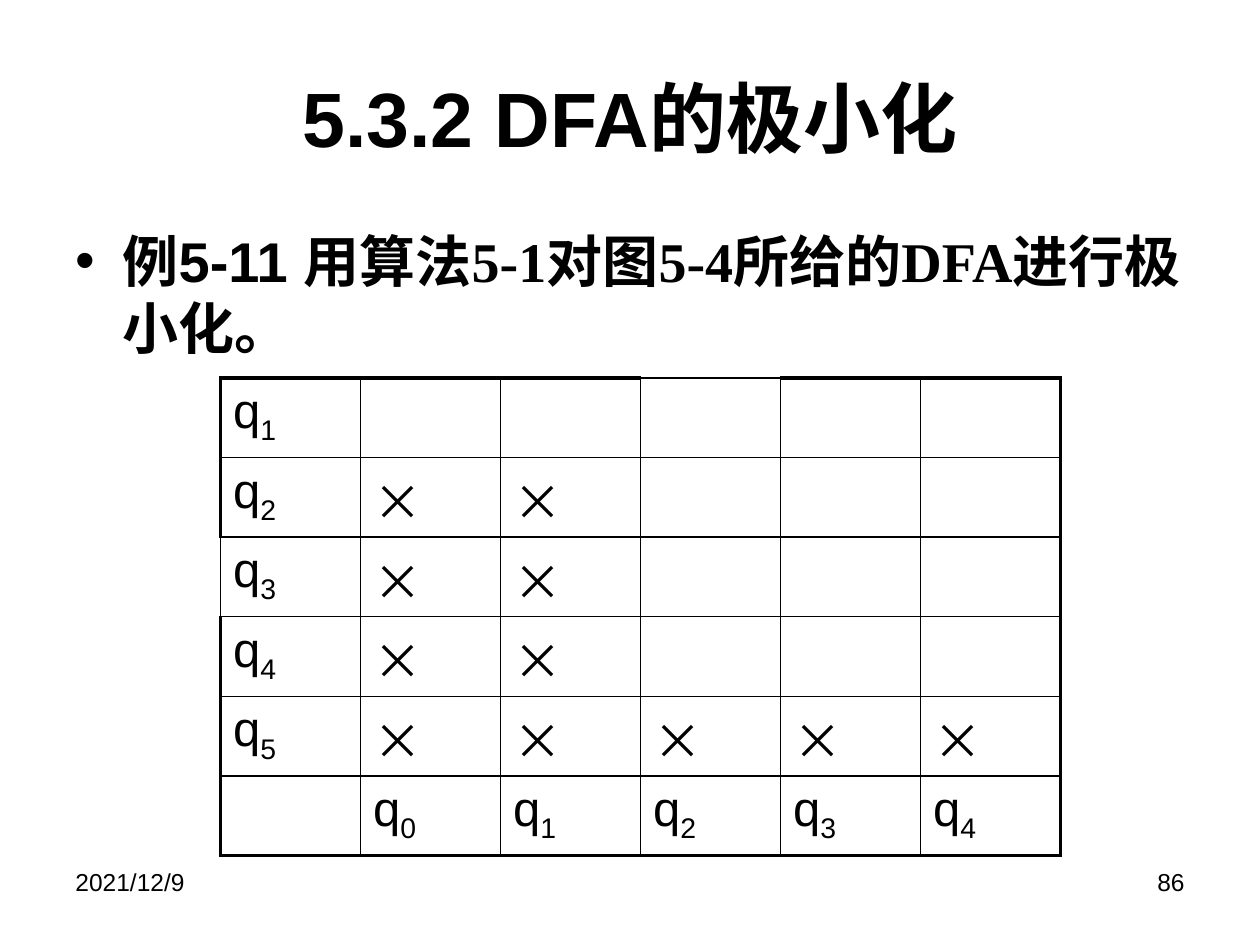
from lxml.etree import SubElement
from pptx import Presentation
from pptx.dml.color import RGBColor
from pptx.enum.text import MSO_ANCHOR, PP_ALIGN
from pptx.oxml.ns import qn
from pptx.util import Pt

BLACK = RGBColor(0, 0, 0)
LATIN = "Arial"
SERIF = "Times New Roman"
CHINESE = "Noto Sans CJK SC"
THIN, THICK = 1, 2.25
CROSS = "×"


class SlideBuilder:
    """Holds the text style and the current slide."""

    def __init__(self, slide):
        """Start building on the given slide."""
        self.slide = slide

    def run(self, paragraph, text, size, font=LATIN, bold=False, subscript=False):
        """Add one styled run, with the Chinese font for East Asian text."""
        run = paragraph.add_run()
        run.text = text
        run.font.size = Pt(size)
        run.font.name = font
        run.font.bold = bold
        run.font.color.rgb = BLACK
        properties = run.font._element
        SubElement(properties, qn("a:ea"), typeface=CHINESE)
        if subscript:
            properties.set("baseline", "-25000")

    def text(self, box, runs, size, bold=False, align=PP_ALIGN.LEFT,
             anchor=MSO_ANCHOR.TOP):
        """Add a one-paragraph text box from (text, font) pairs."""
        shape = self.slide.shapes.add_textbox(*map(Pt, box))
        frame = shape.text_frame
        frame.word_wrap = True
        frame.vertical_anchor = anchor
        paragraph = frame.paragraphs[0]
        paragraph.alignment = align
        for text, font in runs:
            self.run(paragraph, text, size, font, bold)
        return paragraph

    def bullet(self, paragraph, indent, space_before):
        """Give a paragraph a hanging round bullet."""
        paragraph.space_before = Pt(space_before)
        properties = paragraph._p.get_or_add_pPr()
        properties.set("marL", str(Pt(indent)))
        properties.set("indent", str(-Pt(indent)))
        SubElement(properties, qn("a:buFont"), typeface=LATIN)
        SubElement(properties, qn("a:buChar"), char="•")

    def border(self, cell, widths):
        """Draw the left, right, top and bottom lines of a cell."""
        properties = cell._tc.get_or_add_tcPr()
        for position, (side, width) in enumerate(zip("LRTB", widths)):
            line = SubElement(properties, qn(f"a:ln{side}"), w=str(Pt(width)))
            fill = SubElement(line, qn("a:solidFill"))
            SubElement(fill, qn("a:srgbClr"), val=str(BLACK))
            properties.remove(line)
            properties.insert(position, line)

    def state_table(self, box, rows, size, thin_edges):
        """Add the table of state pairs with a thick outer frame."""
        last_row, last_column = len(rows) - 1, len(rows[0]) - 1
        table = self.slide.shapes.add_table(
            len(rows), len(rows[0]), *map(Pt, box)).table
        table.first_row = table.horz_banding = False
        for i, row in enumerate(rows):
            for j, text in enumerate(row):
                cell = table.cell(i, j)
                cell.fill.background()
                outer = (j == 0, j == last_column, i == 0, i == last_row)
                self.border(cell, [
                    THICK if edge and (i, j) not in thin_edges else THIN
                    for edge in outer])
                if not text:
                    continue
                paragraph = cell.text_frame.paragraphs[0]
                paragraph.space_before = Pt(size * 0.2)
                if text == CROSS:
                    self.run(paragraph, text, size, CHINESE)
                else:
                    self.run(paragraph, text[0], size)
                    self.run(paragraph, text[1:], size, subscript=True)


def main():
    """Build the slide and save it."""
    presentation = Presentation()
    presentation.slide_width, presentation.slide_height = Pt(720), Pt(540)
    builder = SlideBuilder(
        presentation.slides.add_slide(presentation.slide_layouts[6]))

    builder.text((36, 21.6, 648, 90), [("5.3.2 DFA的极小化", LATIN)], 44,
                 True, PP_ALIGN.CENTER, MSO_ANCHOR.MIDDLE)
    example = builder.text((36, 126, 648, 90), [
        ("例5-11 ", LATIN), ("用算法", CHINESE), ("5-1", SERIF),
        ("对图", CHINESE), ("5-4", SERIF), ("所给的", CHINESE),
        ("DFA", SERIF), ("进行极小化。", CHINESE)], 32, True)
    builder.bullet(example, 27, 6.4)

    cross_counts = [0, 2, 2, 2, 5]
    rows = [[f"q{state}"] + [CROSS] * count + [""] * (5 - count)
            for state, count in enumerate(cross_counts, 1)]
    rows.append([""] + [f"q{state}" for state in range(5)])
    builder.state_table((126, 216, 480, 272), rows, 28, {(0, 3), (2, 0)})

    footer_top, footer_width, footer_height = 492, 168, 37.5
    builder.text((36, footer_top, footer_width, footer_height),
                 [("2021/12/9", LATIN)], 14)
    builder.text((516, footer_top, footer_width, footer_height),
                 [("86", LATIN)], 14, align=PP_ALIGN.RIGHT)
    presentation.save("out.pptx")


main()
